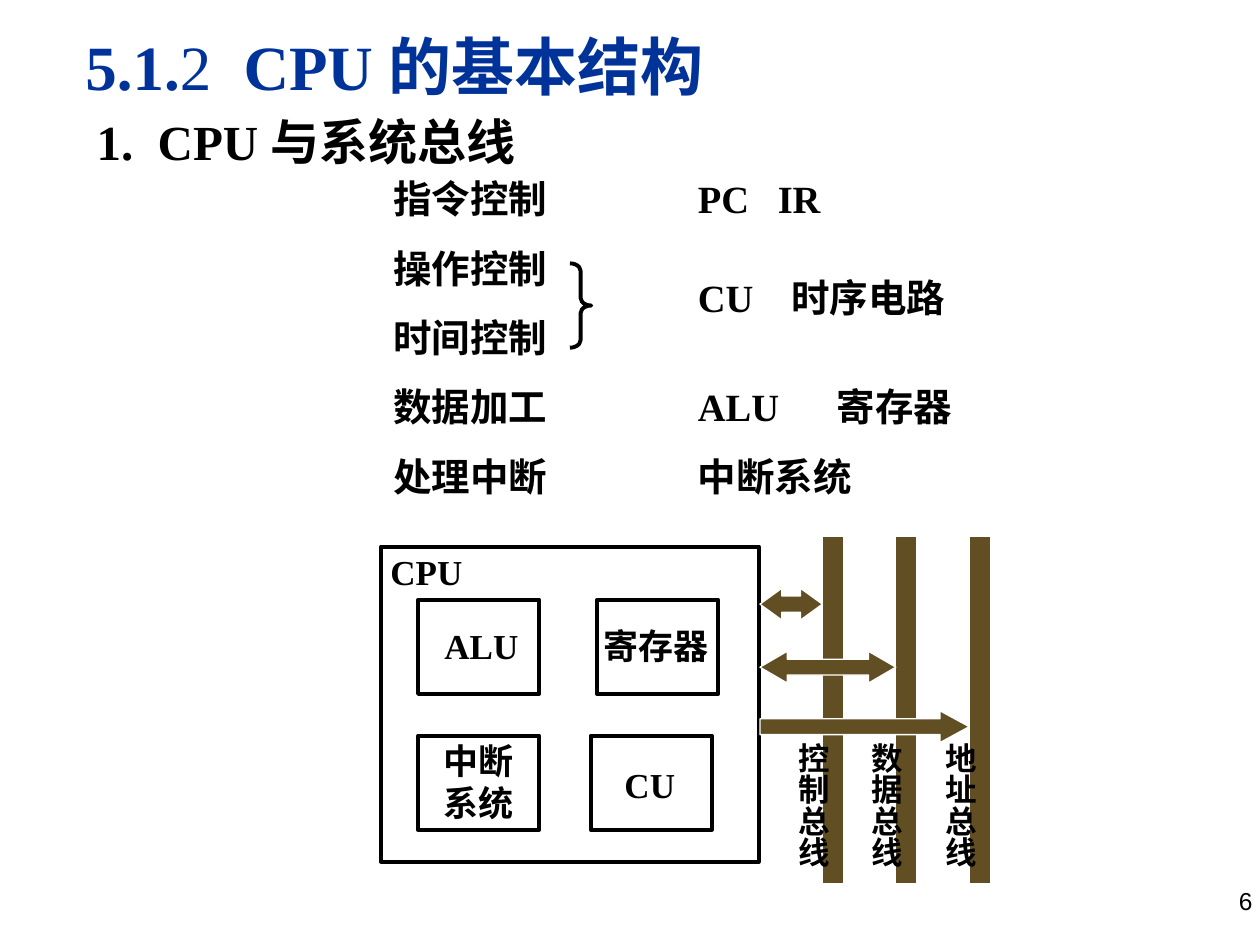
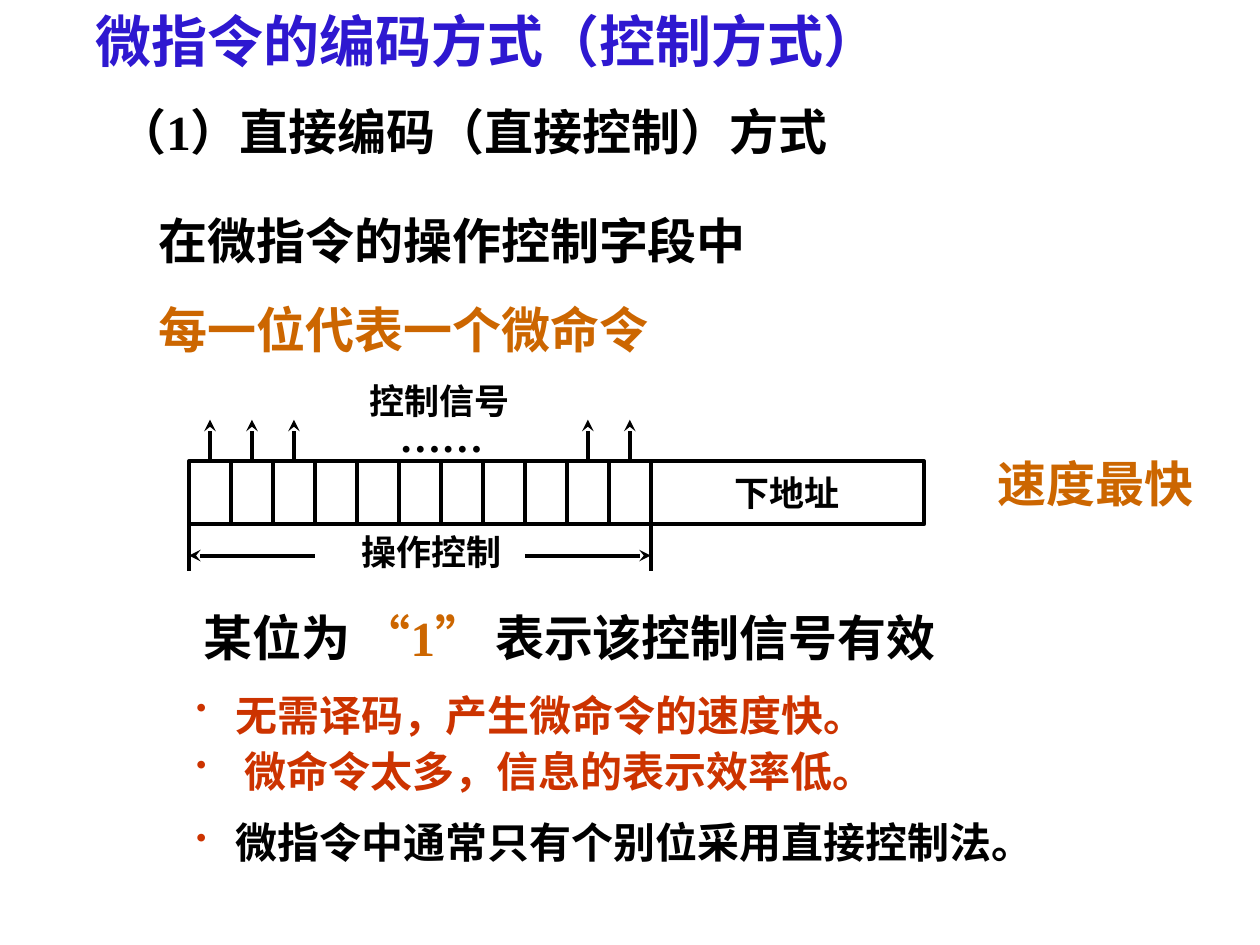
from dataclasses import dataclass, field
from typing import Any, Optional

from lxml.etree import SubElement
from pptx import Presentation
from pptx.dml.color import RGBColor
from pptx.enum.shapes import MSO_CONNECTOR, MSO_SHAPE
from pptx.enum.text import MSO_ANCHOR, MSO_AUTO_SIZE, PP_ALIGN
from pptx.oxml.ns import qn
from pptx.util import Cm, Pt


@dataclass(frozen=True)
class Theme:
    font: str = "Times New Roman"
    number_font: str = "Arial"
    black: str = "000000"
    white: str = "FFFFFF"
    navy: str = "003399"
    violet: str = "2E18D0"
    orange: str = "CC6600"
    red: str = "CC3300"
    bus: str = "614F23"
    title: float = 36
    subtitle: float = 32
    heading: float = 28
    bullet: float = 24
    body: float = 22
    label: float = 20
    bus_label: float = 18
    number: float = 14
    line: float = 2.25
    thin_line: float = 0.75


THEME = Theme()


@dataclass(frozen=True)
class TextRun:
    text: str
    color: str = THEME.black
    bold: bool = True


@dataclass(frozen=True)
class TextLine:
    runs: list[TextRun]
    indent: float = 0
    tab: float = 0
    bullet: bool = False
    format: dict[str, Any] = field(default_factory=dict)


@dataclass(frozen=True)
class Label:
    left: float
    top: float
    width: float
    height: float
    size: float
    lines: list[TextLine]
    wrap: bool = True
    vertical: bool = False
    font: str = THEME.font


@dataclass(frozen=True)
class Box:
    left: float
    top: float
    width: float
    height: float
    kind: MSO_SHAPE = MSO_SHAPE.RECTANGLE
    fill: Optional[str] = None
    line: str = THEME.black
    weight: float = THEME.line
    adjustments: tuple[float, ...] = ()


@dataclass(frozen=True)
class Line:
    start: tuple[float, float]
    end: tuple[float, float]
    arrow: bool = False


def apply(target: Any, values: dict[str, Any]) -> None:
    for name, value in values.items():
        setattr(target, name, value)


def one(text: str, color: str = THEME.black, **options: Any) -> list[TextLine]:
    return [TextLine([TextRun(text, color)], **options)]


def write_lines(frame: Any, lines: list[TextLine], size: float, font: str) -> None:
    for index, line in enumerate(lines):
        paragraph = frame.paragraphs[0] if index == 0 else frame.add_paragraph()
        properties = paragraph._p.get_or_add_pPr()
        if line.indent:
            properties.set("marL", str(Cm(line.indent)))
            properties.set("indent", str(-Cm(line.indent) if line.bullet else 0))
        if line.bullet:
            color = SubElement(properties, qn("a:buClr"))
            SubElement(color, qn("a:srgbClr"), val=THEME.red)
            SubElement(properties, qn("a:buSzPct"), val="70000")
            SubElement(properties, qn("a:buChar"), char="•")
        if line.tab:
            tabs = SubElement(properties, qn("a:tabLst"))
            SubElement(tabs, qn("a:tab"), pos=str(Cm(line.tab)), algn="l")
        apply(paragraph, line.format)
        for part in line.runs:
            run = paragraph.add_run()
            run.text = part.text
            apply(run.font, {"name": font, "size": Pt(size), "bold": part.bold})
            run.font.color.rgb = RGBColor.from_string(part.color)


def draw_label(slide: Any, label: Label) -> None:
    shape = slide.shapes.add_textbox(
        Cm(label.left), Cm(label.top), Cm(label.width), Cm(label.height)
    )
    frame = shape.text_frame
    side, edge = (Cm(0.13), Cm(0.25)) if label.vertical else (Cm(0.25), Cm(0.13))
    apply(frame, {
        "word_wrap": label.wrap,
        "auto_size": MSO_AUTO_SIZE.SHAPE_TO_FIT_TEXT,
        "margin_left": side,
        "margin_right": side,
        "margin_top": edge,
        "margin_bottom": edge,
    })
    if label.vertical:
        frame._txBody.bodyPr.set("vert", "eaVert")
    write_lines(frame, label.lines, label.size, label.font)


def draw_box(slide: Any, box: Box) -> Any:
    shape = slide.shapes.add_shape(
        box.kind, Cm(box.left), Cm(box.top), Cm(box.width), Cm(box.height)
    )
    shape.shadow.inherit = False
    for index, value in enumerate(box.adjustments):
        shape.adjustments[index] = value
    if box.fill:
        shape.fill.solid()
        shape.fill.fore_color.rgb = RGBColor.from_string(box.fill)
    else:
        shape.fill.background()
    shape.line.color.rgb = RGBColor.from_string(box.line)
    shape.line.width = Pt(box.weight)
    return shape


def draw_line(slide: Any, line: Line) -> None:
    points = [Cm(value) for value in (*line.start, *line.end)]
    connector = slide.shapes.add_connector(MSO_CONNECTOR.STRAIGHT, *points)
    connector.line.color.rgb = RGBColor.from_string(THEME.black)
    connector.line.width = Pt(THEME.line)
    properties = connector._element.spPr
    if line.arrow:
        SubElement(properties.find(qn("a:ln")), qn("a:tailEnd"), type="stealth")
    SubElement(properties, qn("a:effectLst"))


def build_structure_slide(slide: Any) -> None:
    title = TextLine([
        TextRun("5.1.", THEME.navy),
        TextRun("2\t", THEME.navy, False),
        TextRun("CPU 的基本结构", THEME.navy),
    ], tab=3.19)
    number = TextLine([TextRun("6", bold=False)], format={"alignment": PP_ALIGN.RIGHT})
    labels = [
        Label(19.58, 17.73, 5.92, 1.32, THEME.number, [number], font=THEME.number_font),
        Label(1.47, 0.43, 15.88, 1.78, THEME.title, [title]),
        Label(1.7, 2.11, 16.79, 1.45, THEME.heading, one("1.\tCPU 与系统总线", tab=1.23)),
    ]

    row_top, row_step = 3.4, 1.4
    functions = ["指令控制", "操作控制", "时间控制", "数据加工", "处理中断"]
    components = [
        (0, "PC\tIR", 1.61),
        (1.42, "CU\t时序电路", 1.88),
        (3, "ALU\t寄存器", 2.8),
        (4, "中断系统", 0),
    ]
    for row, text in enumerate(functions):
        labels.append(Label(7.68, row_top + row * row_step, 7.62, 1.19, THEME.body, one(text)))
    for row, text, tab in components:
        top = row_top + row * row_step
        labels.append(Label(13.82, top, 7.62, 1.19, THEME.body, one(text, tab=tab)))

    labels += [
        Label(7.62, 10.97, 2.1, 1.12, THEME.label, one("CPU"), wrap=False),
        Label(8.71, 12.45, 2.1, 1.12, THEME.label, one("ALU"), wrap=False),
        Label(11.91, 12.45, 2.7, 1.12, THEME.label, one("寄存器"), wrap=False),
        Label(8.69, 14.78, 2.2, 1.96, THEME.label, one("中断") + one("系统"), wrap=False),
        Label(12.34, 15.27, 1.8, 1.12, THEME.label, one("CU"), wrap=False),
    ]
    boxes = [
        Box(11.49, 5.31, 0.43, 1.7, MSO_SHAPE.RIGHT_BRACE, adjustments=(0.35, 0.5)),
        Box(7.68, 11.02, 7.62, 6.35),
    ]
    for left, top in [(8.43, 12.09), (12.04, 12.09), (8.43, 14.83), (11.91, 14.83)]:
        boxes.append(Box(left, top, 2.44, 1.9))

    bus_style = {"fill": THEME.bus, "line": THEME.white, "weight": THEME.thin_line}
    cpu_edge = 15.32
    buses = [
        ("控制总线", 11.86, MSO_SHAPE.LEFT_RIGHT_ARROW, (0.51, 0.69)),
        ("数据总线", 13.13, MSO_SHAPE.LEFT_RIGHT_ARROW, (0.5, 0.86)),
        ("地址总线", 14.33, MSO_SHAPE.RIGHT_ARROW, (0.5, 0.92)),
    ]
    arrows = []
    for index, (name, top, kind, adjustments) in enumerate(buses):
        left = 16.58 + index * 1.48
        boxes.append(Box(left, 10.82, 0.43, 6.99, **bus_style))
        arrows.append(Box(cpu_edge, top, left - cpu_edge, 0.64, kind,
                          adjustments=adjustments, **bus_style))
        labels.append(Label(left - 0.95, 14.72, 1.27, 2.79, THEME.bus_label,
                            one(name), wrap=False, vertical=True))
    for box in boxes + arrows:
        draw_box(slide, box)
    for label in labels:
        draw_label(slide, label)


def build_encoding_slide(slide: Any) -> None:
    field_left, field_top, field_height = 3.81, 9.3, 1.27
    bit_count, bit_width = 11, 9.31 / 11
    field_right = field_left + bit_count * bit_width
    field_bottom = field_top + field_height

    for bit in range(bit_count):
        draw_box(slide, Box(field_left + bit * bit_width, field_top, bit_width, field_height))
    address = draw_box(slide, Box(field_right, field_top, 5.51, field_height))
    apply(address.text_frame, {"word_wrap": False, "vertical_anchor": MSO_ANCHOR.MIDDLE})
    centered = {"alignment": PP_ALIGN.CENTER}
    write_lines(address.text_frame, one("下地址", format=centered), THEME.label, THEME.font)

    for bit in (0, 1, 2, 9, 10):
        center = field_left + (bit + 0.5) * bit_width
        draw_line(slide, Line((center, field_top), (center, 8.46), True))
    span_top = 11.2
    for edge, inner_bit in [(field_left, 3), (field_right, 8)]:
        draw_line(slide, Line((edge, field_bottom), (edge, 11.51)))
        inner = field_left + inner_bit * bit_width
        draw_line(slide, Line((inner, span_top), (edge, span_top), True))

    spaced = {"space_before": Pt(17.5)}
    tight = {"line_spacing": 0.6}
    statement = TextLine([
        TextRun("某位为 "),
        TextRun("“1” ", THEME.orange),
        TextRun("表示该控制信号有效"),
    ])
    drawbacks = one("无需译码，产生微命令的速度快。", THEME.red, indent=0.79, bullet=True,
                    format=tight)
    drawbacks += one("微命令太多，信息的表示效率低。", THEME.red, indent=0.97, bullet=True,
                     format={**tight, "space_before": Pt(15)})
    meaning = one("在微指令的操作控制字段中", indent=1.25)
    meaning += one("每一位代表一个微命令", THEME.orange, indent=1.25, format=spaced)
    usage = one("微指令中通常只有个别位采用直接控制法。", indent=0.79, bullet=True)
    labels = [
        Label(0.89, 0, 23.8, 1.68, THEME.subtitle,
              one("微指令的编码方式（控制方式）", THEME.violet, indent=0.79)),
        Label(1.9, 1.91, 19.61, 1.45, THEME.heading,
              one("（1）直接编码（直接控制）方式", indent=0.22)),
        Label(1.7, 4.11, 20.4, 3.25, THEME.heading, meaning),
        Label(19.86, 9.02, 5.54, 1.45, THEME.heading, one("速度最快", THEME.orange)),
        Label(7.8, 8.15, 2.6, 1.27, THEME.bullet, one("……"), wrap=False),
        Label(7.2, 7.52, 3.5, 1.12, THEME.label, one("控制信号"), wrap=False),
        Label(7.04, 10.57, 3.5, 1.12, THEME.label, one("操作控制"), wrap=False),
        Label(3.86, 12.12, 16.5, 1.45, THEME.heading, [statement], wrap=False),
        Label(3.71, 14.12, 14.2, 2.01, THEME.bullet, drawbacks),
        Label(3.71, 16.33, 18.21, 1.27, THEME.bullet, usage),
    ]
    for label in labels:
        draw_label(slide, label)


def main() -> None:
    presentation = Presentation()
    apply(presentation, {"slide_width": Cm(25.4), "slide_height": Cm(19.05)})
    blank = presentation.slide_layouts[6]
    for build in (build_structure_slide, build_encoding_slide):
        build(presentation.slides.add_slide(blank))
    presentation.save("out.pptx")


if __name__ == "__main__":
    main()
